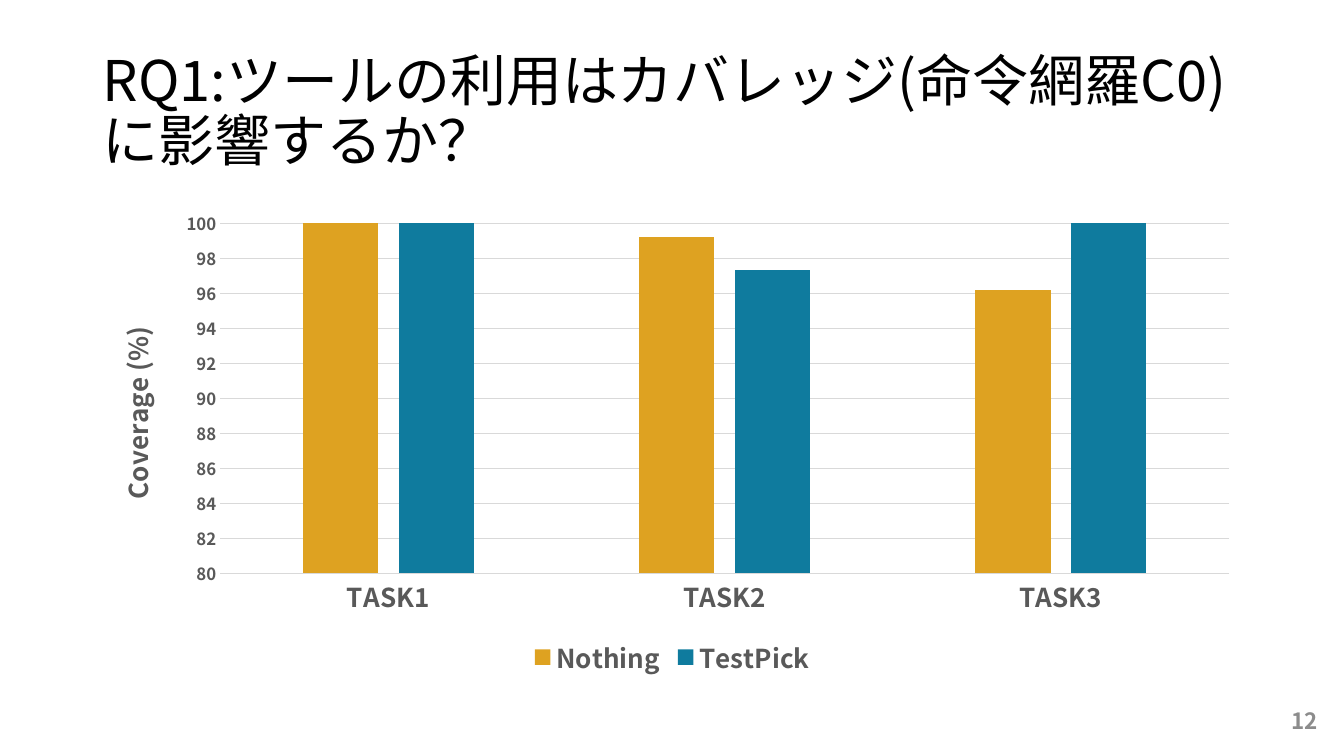
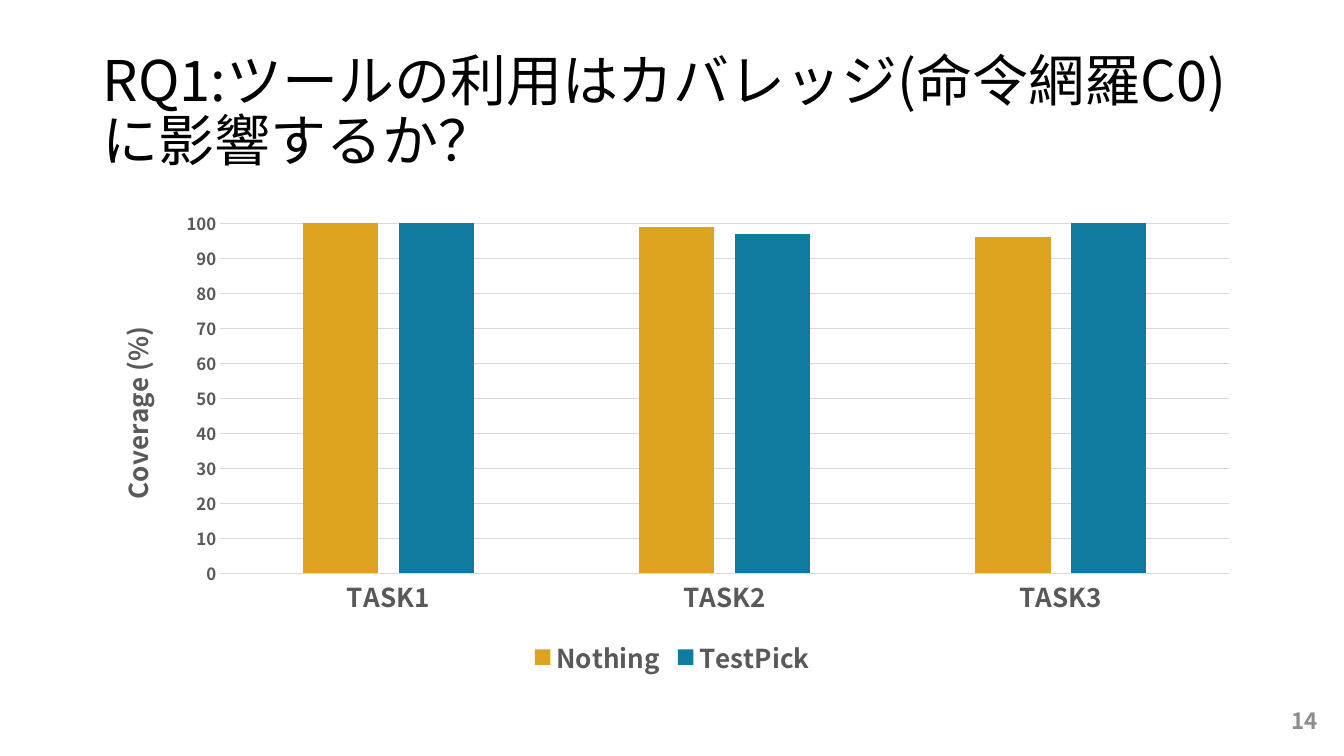
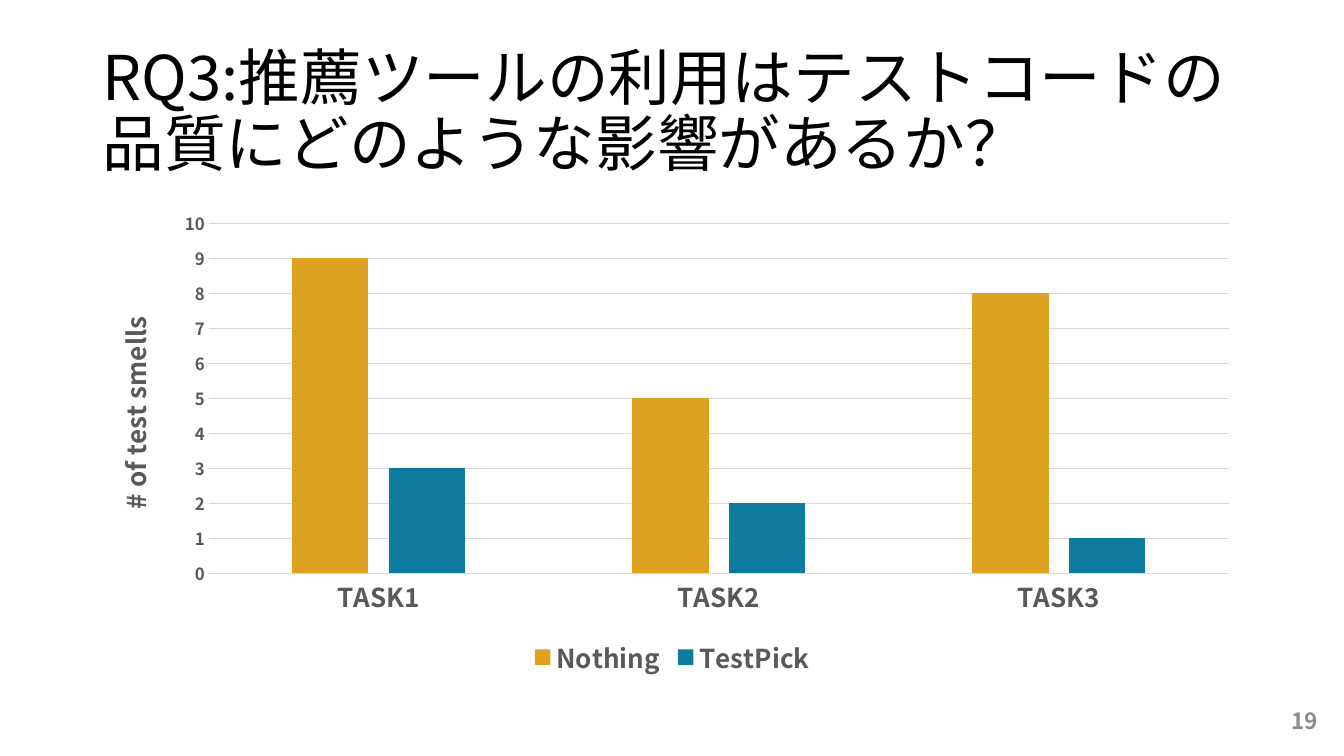
from lxml import etree
from pptx import Presentation
from pptx.chart.data import CategoryChartData
from pptx.dml.color import RGBColor
from pptx.enum.chart import XL_CHART_TYPE, XL_LEGEND_POSITION, XL_TICK_MARK
from pptx.enum.text import MSO_ANCHOR, PP_ALIGN
from pptx.oxml.ns import qn
from pptx.util import Inches, Pt

COLUMNS = XL_CHART_TYPE.COLUMN_CLUSTERED
BOTTOM = XL_LEGEND_POSITION.BOTTOM
NO_TICK = XL_TICK_MARK.NONE
MIDDLE = MSO_ANCHOR.MIDDLE
LEFT, RIGHT = PP_ALIGN.LEFT, PP_ALIGN.RIGHT

FONT = "Noto Sans CJK JP"
BLACK, TEXT_GREY, PAGE_GREY, GRID_GREY = "000000", "595959", "8C8C8C", "D9D9D9"
SERIES_COLOURS = ["DEA221", "0F7B9E"]
TASKS = ["TASK1", "TASK2", "TASK3"]
MARGIN, CONTENT_WIDTH = 0.92, 11.5
LABEL_SIZE = 18.6

COVERAGE_TITLE = "RQ1:ツールの利用はカバレッジ(命令網羅C0)に影響するか？"
SMELL_TITLE = "RQ3:推薦ツールの利用はテストコードの品質にどのような影響があるか？"

# title, title size, title width, axis title, axis range and step, plot left share, values, page number
SLIDES = [
    (COVERAGE_TITLE, 40, 11.83, "Coverage (%)", (80, 100, 2), 0.11,
     ([100, 99.2, 96.2], [100, 97.3, 100]), "12"),
    (COVERAGE_TITLE, 40, 11.83, "Coverage (%)", (0, 100, 10), 0.11,
     ([100, 99, 96], [100, 97, 100]), "14"),
    (SMELL_TITLE, 44, CONTENT_WIDTH, "# of test smells", (0, 10, 1), 0.1,
     ([9, 5, 8], [3, 2, 1]), "19"),
]


def style(font, size, colour=TEXT_GREY, bold=True):
    font.name, font.size, font.bold = FONT, Pt(size), bold
    font.color.rgb = RGBColor.from_string(colour)


def add_text(page, text, left, top, width, height, size, colour, bold=False,
             align=LEFT, spacing=1.0):
    box = page.shapes.add_textbox(*map(Inches, (left, top, width, height)))
    frame = box.text_frame
    frame.word_wrap, frame.vertical_anchor = True, MIDDLE
    para = frame.paragraphs[0]
    para.alignment, para.line_spacing = align, spacing
    span = para.add_run()
    span.text = text
    style(span.font, size, colour, bold)
    east_asian = etree.SubElement(span.font._element, qn("a:ea"))
    east_asian.set("typeface", FONT)


deck = Presentation()
deck.slide_width, deck.slide_height = Inches(13.33), Inches(7.5)

for title, title_size, title_width, axis_title, scale, plot_left, values, number in SLIDES:
    page = deck.slides.add_slide(deck.slide_layouts[6])
    add_text(page, title, MARGIN, 0.4, title_width, 1.45, title_size, BLACK, spacing=0.9)

    # Chart and series
    data = CategoryChartData()
    data.categories = TASKS
    for name, numbers in zip(["Nothing", "TestPick"], values):
        data.add_series(name, numbers)
    chart = page.shapes.add_chart(
        COLUMNS, Inches(MARGIN), Inches(2), Inches(CONTENT_WIDTH), Inches(4.76), data).chart
    style(chart.font, 10, BLACK)
    chart.has_title = False
    plot = chart.plots[0]
    plot.gap_width, plot.overlap, plot.vary_by_categories = 219, -27, False
    for series, colour in zip(plot.series, SERIES_COLOURS):
        series.format.fill.solid()
        series.format.fill.fore_color.rgb = RGBColor.from_string(colour)

    # Axes
    value_axis, category_axis = chart.value_axis, chart.category_axis
    for axis, size in ((value_axis, 12), (category_axis, LABEL_SIZE)):
        axis.major_tick_mark = axis.minor_tick_mark = NO_TICK
        style(axis.tick_labels.font, size)
    value_axis.minimum_scale, value_axis.maximum_scale, value_axis.major_unit = scale
    value_axis.format.line.fill.background()
    for line in (value_axis.major_gridlines.format.line, category_axis.format.line):
        line.width = Pt(0.75)
        line.color.rgb = RGBColor.from_string(GRID_GREY)
    heading = value_axis.axis_title.text_frame.paragraphs[0].add_run()
    heading.text = axis_title
    style(heading.font, LABEL_SIZE)

    # Legend
    chart.has_legend = True
    chart.legend.position, chart.legend.include_in_layout = BOTTOM, False
    style(chart.legend.font, LABEL_SIZE)

    # Inner plot area as shares of the chart
    plot_area = chart._chartSpace.chart.plotArea
    for old_layout in plot_area.findall(qn("c:layout")):
        plot_area.remove(old_layout)
    layout = etree.Element(qn("c:layout"))
    plot_area.insert(0, layout)
    manual = etree.SubElement(layout, qn("c:manualLayout"))
    for tag, value in (("layoutTarget", "inner"), ("xMode", "edge"), ("yMode", "edge"),
                       ("x", plot_left), ("y", 0.045), ("w", 0.98 - plot_left), ("h", 0.73)):
        etree.SubElement(manual, qn(f"c:{tag}")).set("val", str(round(value, 3) if tag in "xywh" else value))

    add_text(page, number, 10.17, 6.95, 3, 0.4, 16, PAGE_GREY, bold=True, align=RIGHT)

deck.save("out.pptx")
